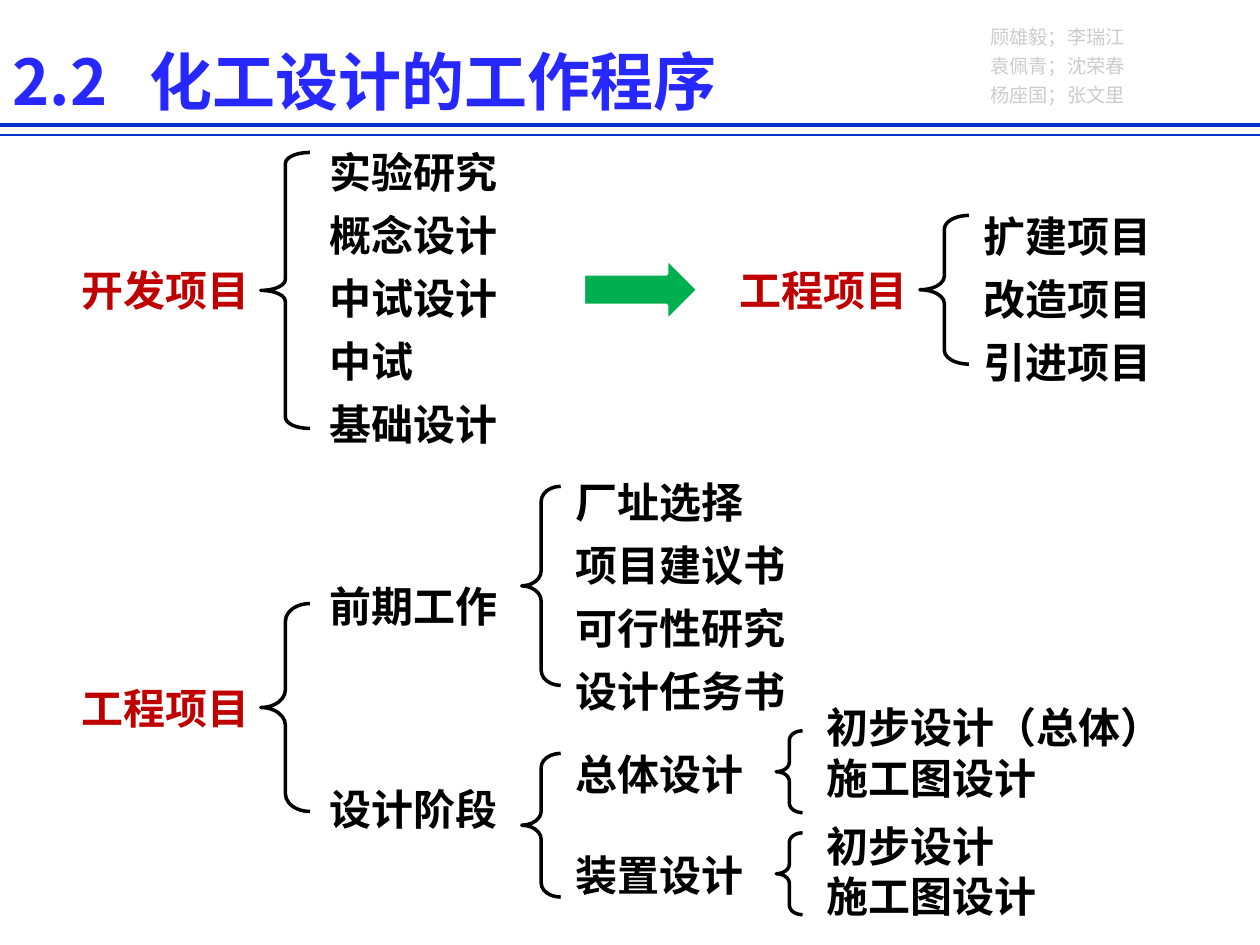
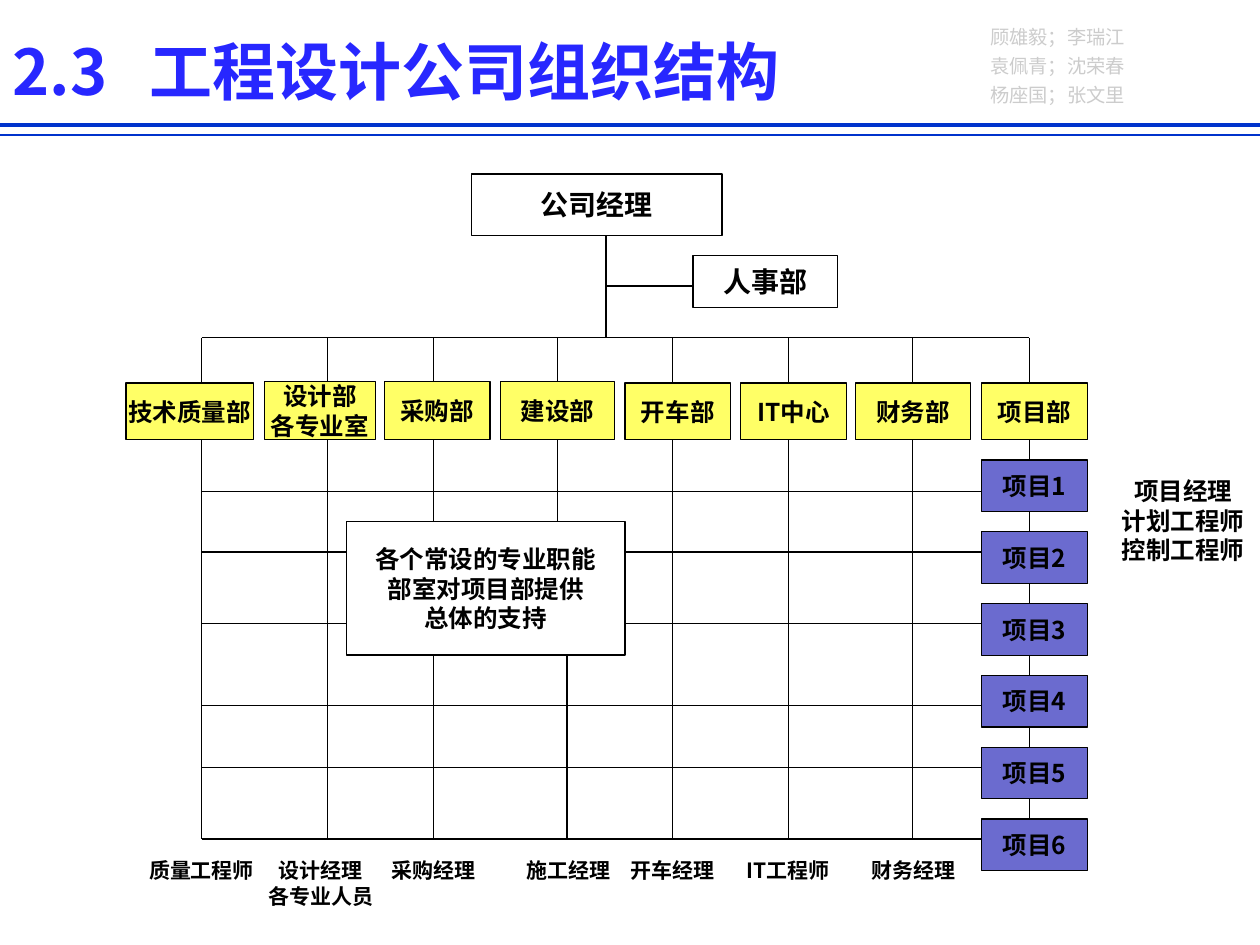
from lxml import etree
from pptx import Presentation
from pptx.dml.color import RGBColor
from pptx.enum import shapes, text
from pptx.oxml.ns import qn
from pptx.util import Inches, Pt

FONT = "Noto Sans CJK SC"
BLACK = RGBColor(0x00, 0x00, 0x00)
WHITE = RGBColor(0xFF, 0xFF, 0xFF)
TITLE_BLUE = RGBColor(0x27, 0x27, 0xFF)
RULE_BLUE = RGBColor(0x00, 0x33, 0xCC)
CREDIT_GREY = RGBColor(0xCC, 0xCC, 0xCC)
ROOT_RED = RGBColor(0xC0, 0x00, 0x00)
ARROW_GREEN = RGBColor(0x00, 0xB0, 0x50)
DEPARTMENT_YELLOW = RGBColor(0xFF, 0xFF, 0x66)
PROJECT_VIOLET = RGBColor(0x6B, 0x6B, 0xCF)

CENTER = text.PP_ALIGN.CENTER
JUSTIFY = text.PP_ALIGN.JUSTIFY
SHAPE = shapes.MSO_SHAPE

CREDITS = ["顾雄毅；李瑞江", "袁佩青；沈荣春", "杨座国；张文里"]
RULES = [(0.99, 2.25), (1.07, 1)]

ROOTS = [
    ("开发项目", (0.55, 2.05, 1.62, 0.5)),
    ("工程项目", (5.77, 2.05, 1.58, 0.5)),
    ("工程项目", (0.55, 5.37, 1.62, 0.5)),
]
BRANCHES = [
    (["实验研究", "概念设计", "中试设计", "中试", "基础设计"],
     (2.52, 1.01, 2.4, 2.58), {"spacing": 1.25}),
    (["扩建项目", "改造项目", "引进项目"], (7.71, 1.52, 1.62, 1.57), {"spacing": 1.25}),
    (["前期工作", "设计阶段"], (2.52, 4.56, 1.62, 2.12), {"before": 87}),
    (["厂址选择", "项目建议书", "可行性研究", "设计任务书"],
     (4.47, 3.63, 2.4, 2.07), {"spacing": 1.25}),
    (["总体设计", "装置设计"], (4.47, 5.89, 1.62, 1.31), {"before": 29}),
    (["初步设计（总体）", "施工图设计"], (6.46, 5.52, 2.94, 0.91), {}),
    (["初步设计", "施工图设计"], (6.46, 6.46, 2.19, 0.91), {}),
]
BRACES = [
    ((2.07, 1.21, 0.39, 2.19), 0.221),
    ((7.3, 1.71, 0.39, 1.18), 0.277),
    ((2.07, 4.79, 0.39, 1.65), 0.359),
    ((4.14, 3.86, 0.31, 1.58), 0.387),
    ((4.14, 5.98, 0.31, 1.14), 0.359),
    ((6.16, 5.8, 0.21, 0.65), 0.359),
    ((6.16, 6.61, 0.21, 0.65), 0.359),
]
STAGE_ARROW = (4.63, 2.05, 0.91, 0.5)

MANAGER = ("公司经理", (3.74, 1.38, 1.99, 0.49))
PERSONNEL = ("人事部", (5.5, 2.03, 1.15, 0.41))
DEPARTMENTS = [
    (["技术质量部"], 1.0, 1.01, 3.04, 1.6),
    (["设计部", "各专业室"], 2.1, 0.88, 3.03, 2.6),
    (["采购部"], 3.05, 0.84, 3.03, 3.44),
    (["建设部"], 3.97, 0.91, 3.03, 4.43),
    (["开车部"], 4.96, 0.84, 3.04, 5.34),
    (["IT中心"], 5.88, 0.84, 3.04, 6.26),
    (["财务部"], 6.79, 0.91, 3.04, 7.25),
    (["项目部"], 7.79, 0.84, 3.04, 8.17),
]
BELOW_NOTE = {"采购部": 3.44, "建设部": 4.5}
STAFF = [
    (["质量工程师"], 1.03, 1.14),
    (["设计经理", "各专业人员"], 2.01, 1.07),
    (["采购经理"], 2.98, 0.92),
    (["施工经理"], 4.06, 0.91),
    (["开车经理"], 4.84, 0.99),
    (["IT工程师"], 5.8, 0.91),
    (["财务经理"], 6.79, 0.92),
]
SUPPORT_NOTE = ["各个常设的专业职能", "部室对项目部提供", "总体的支持"]
NOTE_LEFT, NOTE_TOP, NOTE_RIGHT, NOTE_BOTTOM = 2.75, 4.14, 4.96, 5.2
PROJECT_ROLES = ["项目经理", "计划工程师 控制工程师"]
PROJECT_ROWS = [3.9, 4.38, 4.95, 5.6, 6.09, 6.66]
PROJECT_TOP, PROJECT_STEP, PROJECT_HEIGHT = 3.65, 0.57, 0.41
TRUNK_X, BUS_Y, DEPARTMENT_BOTTOM = 4.81, 2.68, 3.49


def inches(place):
    return [Inches(value) for value in place]


def write(frame, lines, size=24, color=BLACK, bold=True, align=None, spacing=None,
          before=0, anchor=text.MSO_ANCHOR.TOP, wrap=True, grow=True, tab=None):
    frame.word_wrap = wrap
    frame.vertical_anchor = anchor
    frame.auto_size = (text.MSO_AUTO_SIZE.SHAPE_TO_FIT_TEXT if grow
                       else text.MSO_AUTO_SIZE.NONE)
    for index, line in enumerate(lines):
        paragraph = frame.paragraphs[0] if index == 0 else frame.add_paragraph()
        paragraph.alignment = align
        paragraph.line_spacing = spacing
        if index and before:
            paragraph.space_before = Pt(before)
        if tab:
            stops = etree.SubElement(paragraph._p.get_or_add_pPr(), qn("a:tabLst"))
            etree.SubElement(stops, qn("a:tab"), pos=str(Inches(tab)), algn="l")
        run = paragraph.add_run()
        run.text = line
        run.font.size = Pt(size)
        run.font.bold = bold
        run.font.color.rgb = color
        run.font.name = FONT
        etree.SubElement(run.font._element, qn("a:ea"), typeface=FONT)


def label(slide, lines, place, **style):
    write(slide.shapes.add_textbox(*inches(place)).text_frame, lines, **style)


def outline(slide, kind, place, fill=None, line=BLACK, width=2):
    figure = slide.shapes.add_shape(kind, *inches(place))
    figure.shadow.inherit = False
    if fill is None:
        figure.fill.background()
    else:
        figure.fill.solid()
        figure.fill.fore_color.rgb = fill
    figure.line.color.rgb = line
    figure.line.width = Pt(width)
    return figure


def box(slide, lines, place, fill=WHITE, size=14):
    unit = outline(slide, SHAPE.RECTANGLE, place, fill, width=0.75)
    frame = unit.text_frame
    frame.margin_top = frame.margin_bottom = 0
    write(frame, lines, size=size, align=CENTER, wrap=False, grow=False,
          anchor=text.MSO_ANCHOR.MIDDLE)
    return unit


def link(slide, x1, y1, x2, y2, color=BLACK, width=0.75):
    connector = slide.shapes.add_connector(
        shapes.MSO_CONNECTOR.STRAIGHT, *inches((x1, y1, x2, y2)))
    connector.line.color.rgb = color
    connector.line.width = Pt(width)
    etree.SubElement(connector._element.spPr, qn("a:effectLst"))
    return connector


def start_slide(deck, number, heading, top):
    slide = deck.slides.add_slide(deck.slide_layouts[5])
    title = slide.shapes.title
    title.left, title.top, title.width, title.height = inches((0, top, 10, 0.71))
    write(title.text_frame, [f"{number}\t{heading}"], size=36, color=TITLE_BLUE,
          align=text.PP_ALIGN.LEFT, tab=1.09)
    label(slide, CREDITS, (7.76, 0.11, 1.42, 0.77), size=11, color=CREDIT_GREY,
          bold=False, align=JUSTIFY, spacing=1.25)
    for y, width in RULES:
        link(slide, 0, y, 10, y, RULE_BLUE, width)
    return slide


def build_procedure(deck):
    slide = start_slide(deck, "2.2", "化工设计的工作程序", 0.29)
    for root, place in ROOTS:
        label(slide, [root], place, color=ROOT_RED)
    for lines, place, style in BRANCHES:
        label(slide, lines, place, **style)
    for place, curve in BRACES:
        outline(slide, SHAPE.LEFT_BRACE, place).adjustments[0] = curve
    outline(slide, SHAPE.RIGHT_ARROW, STAGE_ARROW, ARROW_GREEN, WHITE)


def build_departments(slide):
    for lines, left, width, top, x in DEPARTMENTS:
        height = DEPARTMENT_BOTTOM - top
        department = box(slide, lines, (left, top, width, height), DEPARTMENT_YELLOW)
        is_project = lines[0] == "项目部"
        lower_x = BELOW_NOTE.get(lines[0])
        end = PROJECT_TOP if is_project else NOTE_TOP if lower_x else PROJECT_ROWS[-1]
        drop = link(slide, x, BUS_Y, x, top)
        column = link(slide, x, DEPARTMENT_BOTTOM, x, end)
        if abs(left + width / 2 - x) < 0.01:
            drop.end_connect(department, 0)
            column.begin_connect(department, 2)
            drop.begin_x = column.end_x = drop.end_x
        if lower_x:
            link(slide, lower_x, NOTE_BOTTOM, lower_x, PROJECT_ROWS[-1])


def build_projects(slide):
    left, width, x = DEPARTMENTS[-1][1], DEPARTMENTS[-1][2], DEPARTMENTS[-1][4]
    first_x = DEPARTMENTS[0][4]
    for index, row in enumerate(PROJECT_ROWS):
        top = PROJECT_TOP + index * PROJECT_STEP
        if index:
            link(slide, x, top - PROJECT_STEP + PROJECT_HEIGHT, x, top)
        box(slide, [f"项目{index + 1}"], (left, top, width, PROJECT_HEIGHT), PROJECT_VIOLET)
        if NOTE_TOP < row < NOTE_BOTTOM:
            link(slide, left, row, NOTE_RIGHT, row)
            link(slide, NOTE_LEFT, row, first_x, row)
        else:
            link(slide, left, row, first_x, row)
    label(slide, PROJECT_ROLES, (8.78, 3.73, 1.22, 1.16), size=14, align=CENTER)


def build_organization(deck):
    slide = start_slide(deck, "2.3", "工程设计公司组织结构", 0.21)
    for name, place in (MANAGER, PERSONNEL):
        box(slide, [name], place, size=16)
    link(slide, TRUNK_X, 1.87, TRUNK_X, BUS_Y)
    link(slide, TRUNK_X, 2.27, PERSONNEL[1][0], 2.27)
    link(slide, DEPARTMENTS[0][4], BUS_Y, DEPARTMENTS[-1][4], BUS_Y)
    build_departments(slide)
    build_projects(slide)
    box(slide, SUPPORT_NOTE,
        (NOTE_LEFT, NOTE_TOP, NOTE_RIGHT - NOTE_LEFT, NOTE_BOTTOM - NOTE_TOP))
    for lines, left, width in STAFF:
        label(slide, lines, (left, 6.76, width, 0.1 + 0.2 * len(lines)),
              size=12, align=CENTER)


def main():
    deck = Presentation()
    deck.slide_width, deck.slide_height = Inches(10), Inches(7.5)
    build_procedure(deck)
    build_organization(deck)
    deck.save("out.pptx")


if __name__ == "__main__":
    main()
